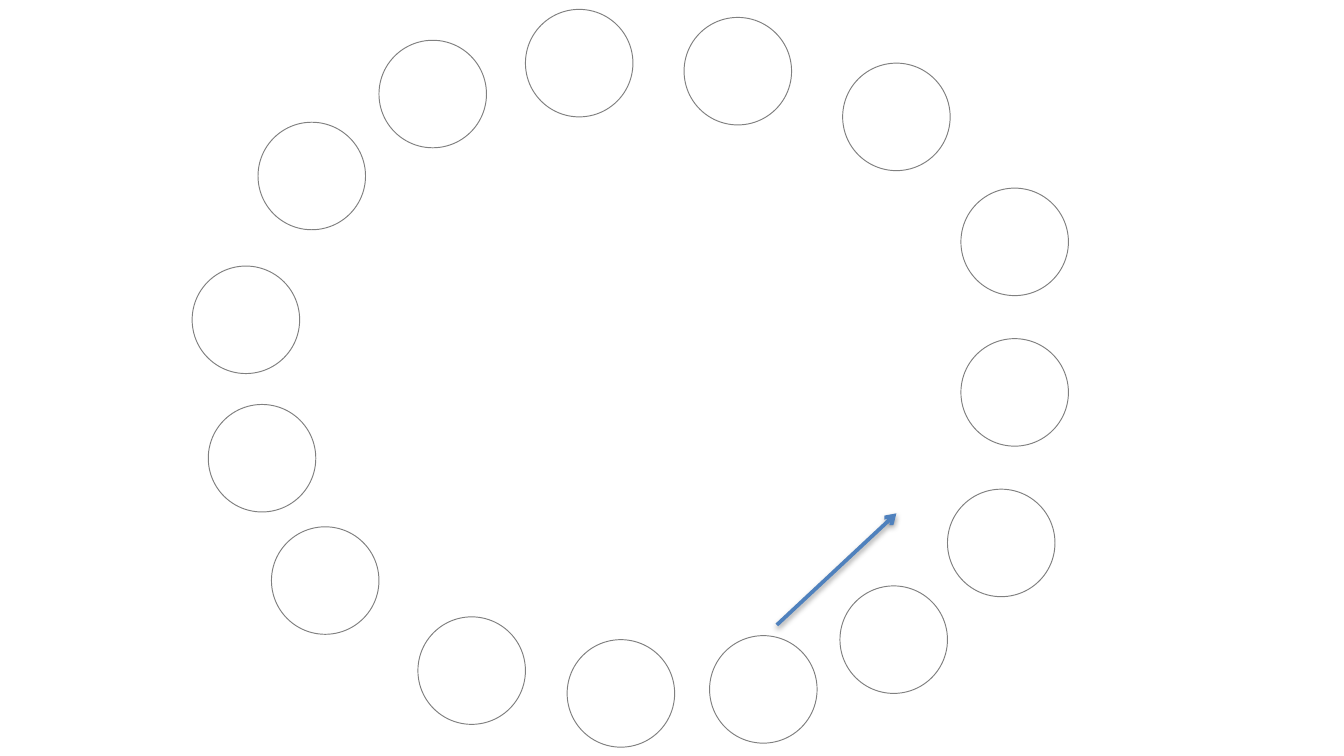
from typing import NamedTuple

from lxml import etree
from pptx import Presentation
from pptx.dml.color import RGBColor
from pptx.enum.shapes import MSO_CONNECTOR as CONN, MSO_SHAPE as SHAPE
from pptx.oxml.ns import qn
from pptx.util import Inches, Pt

DIAMETER = 0.8


class Circle(NamedTuple):
    left: float
    top: float


class Arrow(NamedTuple):
    x1: float
    y1: float
    x2: float
    y2: float


# From back to front
RING = [
    Circle(4.22, 4.76), Circle(6.27, 0.47), Circle(7.15, 2.52),
    Circle(5.09, 0.13), Circle(2.82, 0.3), Circle(6.25, 4.36),
    Circle(7.05, 3.64), Circle(7.15, 1.4), Circle(1.92, 0.91),
    Circle(1.43, 1.98), Circle(1.55, 3.01), Circle(5.28, 4.73),
    Circle(2.02, 3.92), Circle(3.11, 4.59), Circle(3.91, 0.07),
]
POINTER = Arrow(5.78, 4.65, 6.67, 3.82)


def set_line(shape, color: str, width: float) -> None:
    shape.line.color.rgb = RGBColor.from_string(color)
    shape.line.width = Pt(width)


def draw_circle(s, circle: Circle) -> None:
    sp = s.shapes.add_shape(SHAPE.OVAL, Inches(circle.left), Inches(circle.top),
                            Inches(DIAMETER), Inches(DIAMETER))
    sp.shadow.inherit = False
    sp.fill.background()
    set_line(sp, "808080", 0.5)


def add_shadow(cxn) -> None:
    """Give the connector a soft shadow straight below it."""
    effects = etree.SubElement(cxn._element.spPr, qn("a:effectLst"))
    shadow = etree.SubElement(effects, qn("a:outerShdw"), blurRad=str(Pt(3.1)),
                              dist=str(Pt(1.6)), dir="5400000", rotWithShape="0")
    color = etree.SubElement(shadow, qn("a:srgbClr"), val="000000")
    etree.SubElement(color, qn("a:alpha"), val="38000")


def draw_arrow(s, arrow: Arrow) -> None:
    cxn = s.shapes.add_connector(CONN.STRAIGHT, *(Inches(v) for v in arrow))
    set_line(cxn, "4F81BD", 2)
    etree.SubElement(cxn.line._get_or_add_ln(), qn("a:tailEnd"), type="arrow")
    add_shadow(cxn)


def main() -> None:
    prs = Presentation()
    prs.slide_width = Inches(10)
    prs.slide_height = prs.slide_width * 9 // 16
    s = prs.slides.add_slide(prs.slide_layouts[6])
    for circle in RING:
        draw_circle(s, circle)
    draw_arrow(s, POINTER)
    prs.save("out.pptx")


if __name__ == "__main__":
    main()
